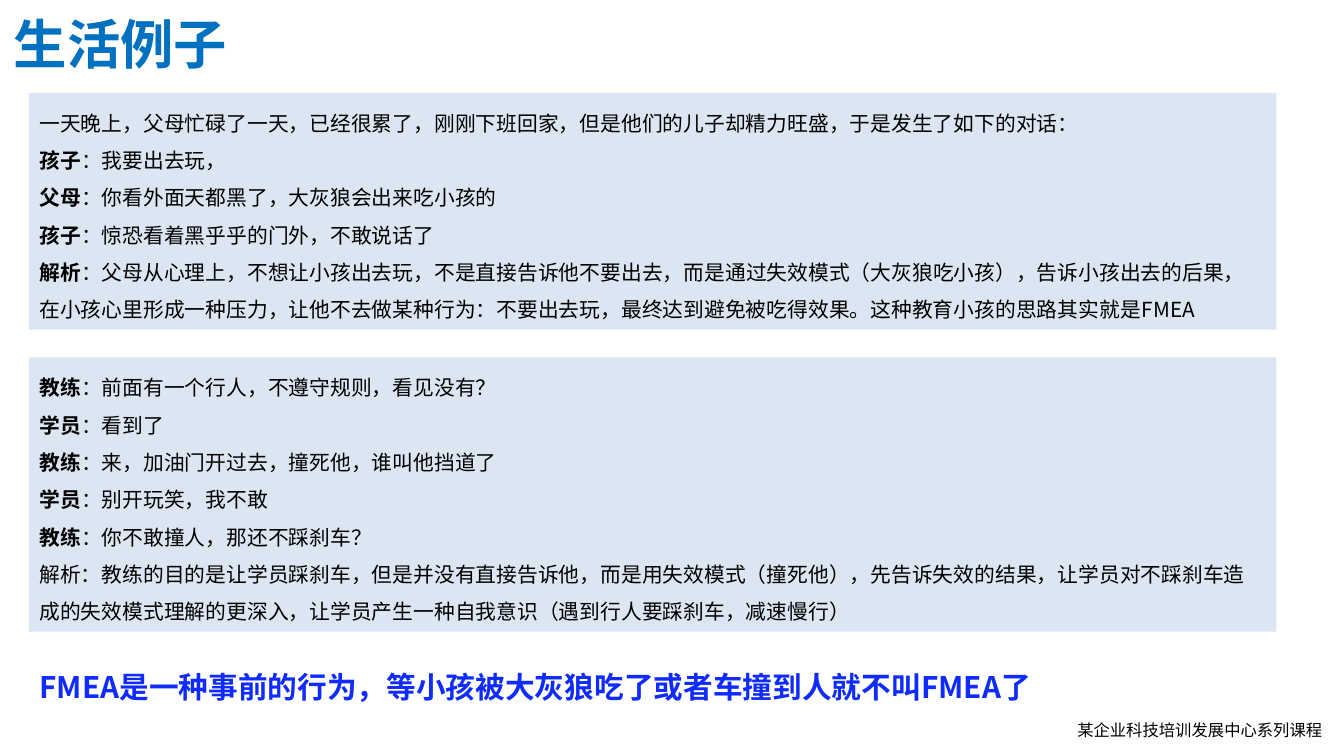
import pptx
import pptx.dml.color
import pptx.enum.shapes
import pptx.enum.text
import pptx.oxml
import pptx.oxml.ns
import pptx.util
from dataclasses import dataclass

Cm = pptx.util.Cm


@dataclass(frozen=True)
class Theme:
    font: str = "Noto Sans CJK SC"
    heading: str = "0070C0"
    body: str = "000000"
    panel: str = "DCE6F2"
    conclusion: str = "102CFC"
    heading_size: int = 36
    conclusion_size: int = 20
    body_size: int = 14
    footer_size: int = 11
    dialogue_spacing: float = 1.5


def add_text(paragraph, text, *, font, size, color, bold=False):
    run = paragraph.add_run()
    run.text = text
    run.font.name = font
    run.font.size = pptx.util.Pt(size)
    run.font.bold = bold
    run.font.color.rgb = pptx.dml.color.RGBColor.from_string(color)
    # East Asian characters take their own typeface element
    east_asian = pptx.oxml.parse_xml(f'<a:ea {pptx.oxml.ns.nsdecls("a")} typeface="{font}"/>')
    run.font._element.find(pptx.oxml.ns.qn("a:latin")).addnext(east_asian)


class SlideWriter:
    def __init__(self, slide, theme):
        self.slide = slide
        self.theme = theme

    def prepare(self, frame, wrap=True):
        frame.word_wrap = wrap
        frame.auto_size = pptx.enum.text.MSO_AUTO_SIZE.SHAPE_TO_FIT_TEXT
        frame.vertical_anchor = pptx.enum.text.MSO_ANCHOR.TOP

    def label(self, text, left, top, width, height, *, size, color, bold=False, wrap=True):
        frame = self.slide.shapes.add_textbox(Cm(left), Cm(top), Cm(width), Cm(height)).text_frame
        self.prepare(frame, wrap)
        add_text(frame.paragraphs[0], text, font=self.theme.font, size=size, color=color, bold=bold)

    def dialogue(self, lines, left, top, width, height):
        panel = self.slide.shapes.add_shape(
            pptx.enum.shapes.MSO_SHAPE.RECTANGLE, Cm(left), Cm(top), Cm(width), Cm(height))
        panel.shadow.inherit = False
        panel.fill.solid()
        panel.fill.fore_color.rgb = pptx.dml.color.RGBColor.from_string(self.theme.panel)
        panel.line.fill.background()
        frame = panel.text_frame
        self.prepare(frame)
        for index, (speaker, speech) in enumerate(lines):
            paragraph = frame.add_paragraph() if index else frame.paragraphs[0]
            paragraph.alignment = pptx.enum.text.PP_ALIGN.LEFT
            paragraph.line_spacing = self.theme.dialogue_spacing
            for text, bold in ((speaker, True), (speech, False)):
                if text:
                    add_text(paragraph, text, font=self.theme.font, size=self.theme.body_size,
                             color=self.theme.body, bold=bold)


# Each line is a bold speaker and what follows
BEDTIME_STORY = [
    ("", "一天晚上，父母忙碌了一天，已经很累了，刚刚下班回家，但是他们的儿子却精力旺盛，于是发生了如下的对话："),
    ("孩子", "：我要出去玩，"),
    ("父母", "：你看外面天都黑了，大灰狼会出来吃小孩的"),
    ("孩子", "：惊恐看着黑乎乎的门外，不敢说话了"),
    ("解析", "：父母从心理上，不想让小孩出去玩，不是直接告诉他不要出去，而是通过失效模式（大灰狼吃小孩），"
             "告诉小孩出去的后果，在小孩心里形成一种压力，让他不去做某种行为：不要出去玩，"
             "最终达到避免被吃得效果。这种教育小孩的思路其实就是FMEA"),
]
DRIVING_LESSON = [
    ("教练", "：前面有一个行人，不遵守规则，看见没有？"),
    ("学员", "：看到了"),
    ("教练", "：来，加油门开过去，撞死他，谁叫他挡道了"),
    ("学员", "：别开玩笑，我不敢"),
    ("教练", "：你不敢撞人，那还不踩刹车？"),
    ("", "解析：教练的目的是让学员踩刹车，但是并没有直接告诉他，而是用失效模式（撞死他），"
         "先告诉失效的结果，让学员对不踩刹车造成的失效模式理解的更深入，"
         "让学员产生一种自我意识（遇到行人要踩刹车，减速慢行）"),
]


def main():
    deck = pptx.Presentation()
    deck.slide_width, deck.slide_height = Cm(32), Cm(18)
    theme = Theme()
    writer = SlideWriter(deck.slides.add_slide(deck.slide_layouts[6]), theme)
    margin, panel_width = 0.69, 29.7

    # Footer and heading
    writer.label("某企业科技培训发展中心系列课程", 25.4, 17.02, 6.4, 0.74,
                 size=theme.footer_size, color=theme.body, wrap=False)
    writer.label("生活例子", 0.08, 0.13, 20.96, 1.8,
                 size=theme.heading_size, color=theme.heading, bold=True)

    # Two everyday dialogues
    writer.dialogue(BEDTIME_STORY, margin, 2.21, panel_width, 5.64)
    writer.dialogue(DRIVING_LESSON, margin, 8.51, panel_width, 6.53)

    # Conclusion
    writer.label("FMEA是一种事前的行为，等小孩被大灰狼吃了或者车撞到人就不叫FMEA了",
                 margin, 15.8, 29.9, 1.12,
                 size=theme.conclusion_size, color=theme.conclusion, bold=True)
    deck.save("out.pptx")


if __name__ == "__main__":
    main()
